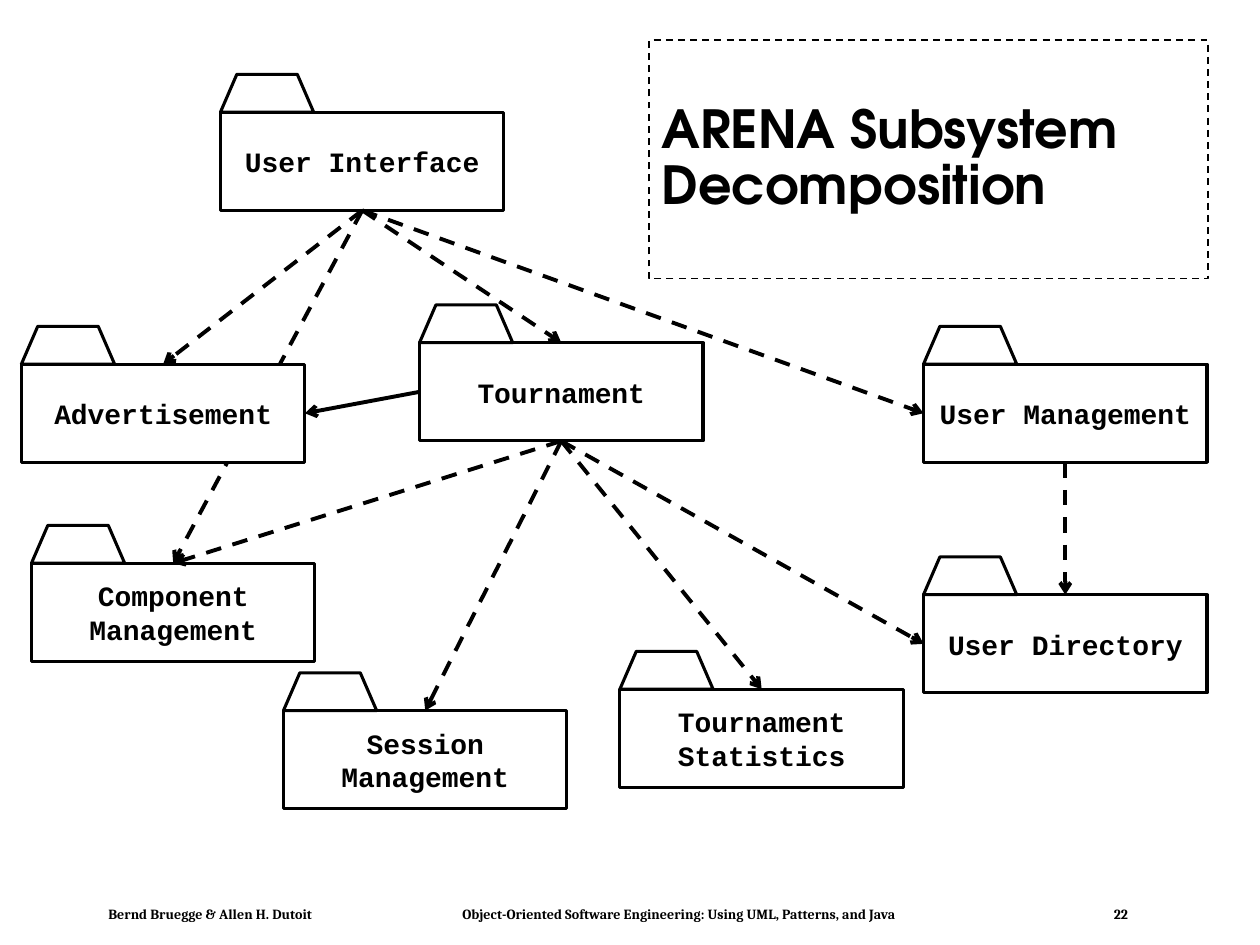
import pptx
import pptx.dml.color
import pptx.enum.dml
import pptx.enum.shapes
import pptx.enum.text
import pptx.oxml.ns
import pptx.util
from lxml import etree
from pptx.util import Inches

BLACK = "000000"
WHITE = "FFFFFF"
TOP, LEFT, RIGHT, BOTTOM = 0, 1, 3, 2
PACKAGE_WIDTH, PACKAGE_HEIGHT = 2.25, 0.78
TAB_OUTLINE = [(0.13, -0.3), (0.61, -0.3), (0.74, 0)]

PACKAGES = [
    ("Tournament", 3.33, 2.72),
    ("Component Management", 0.25, 4.47),
    ("User Management", 7.33, 2.89),
    ("Tournament Statistics", 4.92, 5.47),
    ("User Directory", 7.33, 4.72),
    ("User Interface", 1.75, 0.89),
    ("Session Management", 2.25, 5.64),
]
DEPENDENCIES = [
    ("Tournament", "Tournament Statistics", TOP),
    ("Tournament", "User Directory", LEFT),
    ("Tournament", "Component Management", TOP),
    ("Tournament", "Session Management", TOP),
    ("User Management", "User Directory", TOP),
    ("User Interface", "Tournament", TOP),
    ("User Interface", "User Management", LEFT),
    ("User Interface", "Component Management", TOP),
]


def rgb(value):
    return pptx.dml.color.RGBColor.from_string(value)


def append_element(parent, tag, **attributes):
    return etree.SubElement(parent, pptx.oxml.ns.qn(tag), attributes)


def set_font(paragraph, name, size):
    paragraph.font.name = name
    paragraph.font.size = pptx.util.Pt(size)
    paragraph.font.bold = True
    paragraph.font.color.rgb = rgb(BLACK)


def set_line(shape, width, dashed=False):
    shape.line.color.rgb = rgb(BLACK)
    shape.line.width = pptx.util.Pt(width)
    if dashed:
        shape.line.dash_style = pptx.enum.dml.MSO_LINE.DASH


def style_package_part(shape, fill):
    shape.shadow.inherit = False
    set_line(shape, 1.75)
    if fill:
        shape.fill.solid()
        shape.fill.fore_color.rgb = rgb(fill)
    else:
        shape.fill.background()


def add_package(slide, name, left, top, fill=None):
    """Add a UML package as a group and return its body."""
    shapes = slide.shapes.add_group_shape().shapes
    body = shapes.add_shape(
        pptx.enum.shapes.MSO_SHAPE.RECTANGLE, Inches(left), Inches(top),
        Inches(PACKAGE_WIDTH), Inches(PACKAGE_HEIGHT))
    body.text_frame.text = name
    body.text_frame.word_wrap = True
    paragraph = body.text_frame.paragraphs[0]
    paragraph.alignment = pptx.enum.text.PP_ALIGN.CENTER
    set_font(paragraph, "Courier New", 16)

    builder = shapes.build_freeform(Inches(left), Inches(top))
    builder.add_line_segments(
        [(Inches(left + x), Inches(top + y)) for x, y in TAB_OUTLINE], close=True)
    for shape in (body, builder.convert_to_shape()):
        style_package_part(shape, fill)
    return body


def add_arrow(slide, source, source_side, target, target_side, dashed=True):
    connector = slide.shapes.add_connector(
        pptx.enum.shapes.MSO_CONNECTOR.STRAIGHT, 0, 0, 0, 0)
    connector.begin_connect(source, source_side)
    connector.end_connect(target, target_side)
    set_line(connector, 2.25, dashed)
    append_element(connector.line._get_or_add_ln(), "a:tailEnd", type="arrow")
    append_element(connector._element.spPr, "a:effectLst")


def add_title(slide):
    title = slide.shapes.title
    title.left, title.top = Inches(5.15), Inches(0.32)
    title.width, title.height = Inches(4.44), Inches(1.89)
    set_line(title, 1, dashed=True)
    frame = title.text_frame
    frame.text = "ARENA Subsystem\vDecomposition"
    frame.auto_size = pptx.enum.text.MSO_AUTO_SIZE.NONE
    frame.vertical_anchor = pptx.enum.text.MSO_ANCHOR.MIDDLE
    paragraph = frame.paragraphs[0]
    paragraph.alignment = pptx.enum.text.PP_ALIGN.LEFT
    paragraph.line_spacing = 0.9
    set_font(paragraph, "TeX Gyre Adventor", 30)


def add_footer(slide):
    box = slide.shapes.add_textbox(
        Inches(0.78), Inches(7.15), Inches(8.27), Inches(0.21))
    frame = box.text_frame
    frame.word_wrap = True
    frame.margin_left = frame.margin_right = Inches(0.08)
    frame.margin_top = frame.margin_bottom = Inches(0.04)
    frame.text = "\t".join([
        "Bernd Bruegge & Allen H. Dutoit",
        "Object-Oriented Software Engineering: Using UML, Patterns, and Java",
        "22"])
    paragraph = frame.paragraphs[0]
    set_font(paragraph, "Cambria", 8)
    properties = paragraph._p.get_or_add_pPr()
    tab_list = etree.Element(pptx.oxml.ns.qn("a:tabLst"))
    properties.insert(0, tab_list)
    for position in (2.81, 7.98):
        append_element(tab_list, "a:tab", pos=str(Inches(position)), algn="l")


def main():
    presentation = pptx.Presentation()
    presentation.slide_width, presentation.slide_height = Inches(10), Inches(7.5)
    slide = presentation.slides.add_slide(presentation.slide_layouts[5])
    add_title(slide)
    add_footer(slide)

    bodies = {name: add_package(slide, name, left, top)
              for name, left, top in PACKAGES}
    for source, target, side in DEPENDENCIES:
        add_arrow(slide, bodies[source], BOTTOM, bodies[target], side)

    # Advertisement comes last so that it hides the arrow passing behind it.
    advertisement = add_package(slide, "Advertisement", 0.17, 2.89, WHITE)
    add_arrow(slide, bodies["User Interface"], BOTTOM, advertisement, TOP)
    add_arrow(slide, bodies["Tournament"], LEFT, advertisement, RIGHT, dashed=False)
    presentation.save("out.pptx")


if __name__ == "__main__":
    main()
